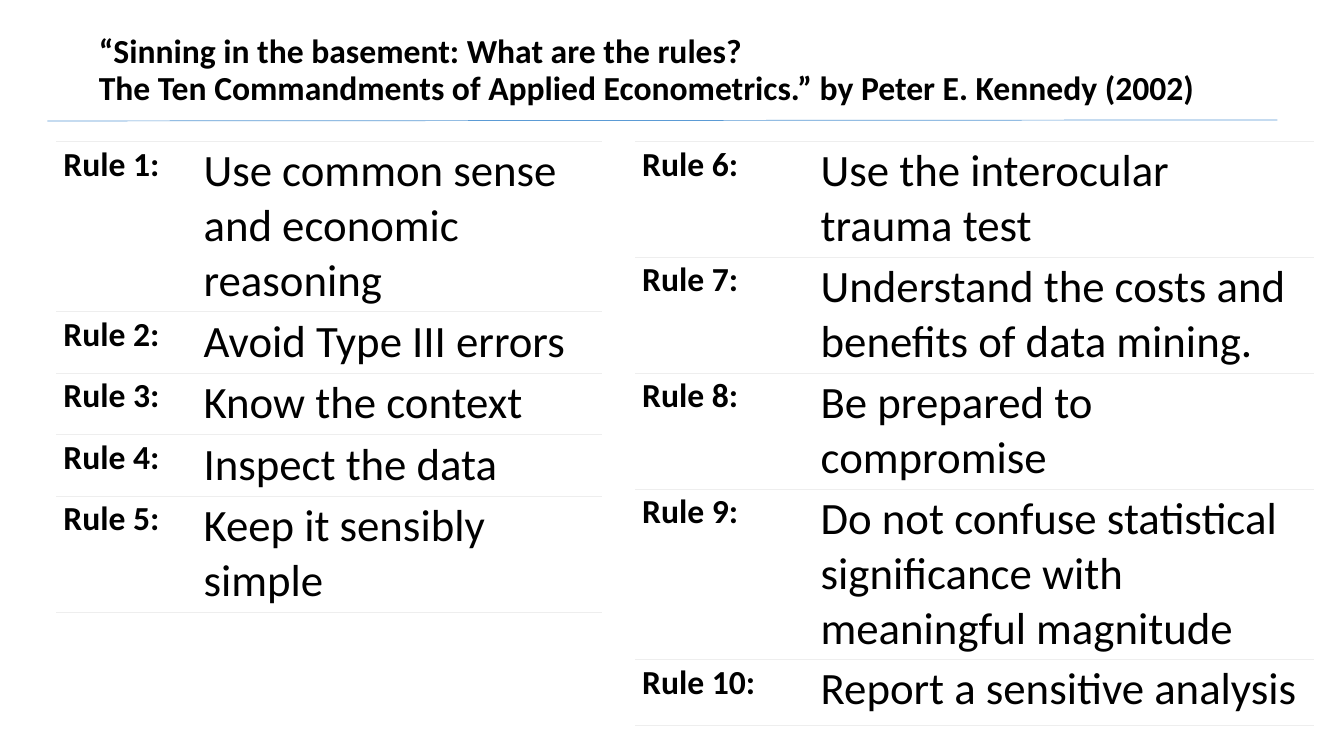
"""Build a slide listing ten rules of applied econometrics in two tables."""
from lxml import etree
from pptx import Presentation
from pptx.dml.color import RGBColor
from pptx.enum.shapes import MSO_CONNECTOR
from pptx.enum.text import MSO_ANCHOR, MSO_AUTO_SIZE, PP_ALIGN
from pptx.oxml.ns import qn
from pptx.util import Inches, Pt

STRAIGHT = MSO_CONNECTOR.STRAIGHT
MIDDLE, TOP = MSO_ANCHOR.MIDDLE, MSO_ANCHOR.TOP
NO_AUTOFIT, LEFT = MSO_AUTO_SIZE.NONE, PP_ALIGN.LEFT

FONT, INK, PAPER = "Calibri", "000000", "FFFFFF"
BORDER, ACCENT = "EEEEEE", "5B9BD5"
HAIRLINE = Pt(0.5)
LABEL_SIZE, RULE_SIZE = 24, 32
LINE_HEIGHT, ROW_PADDING, TABLE_TOP = 0.54, 0.07, 1.4
TITLE_ONLY = 5

TITLE_LINES = [
    "“Sinning in the basement: What are the rules?",
    "The Ten Commandments of Applied Econometrics.” by Peter E. Kennedy (2002)",
]
TABLES = [
    {"left": 0.56, "columns": (1.39, 4.02), "first": 1, "rules": [
        ("Use common sense and economic reasoning", 3),
        ("Avoid Type III errors", 1),
        ("Know the context", 1),
        ("Inspect the data", 1),
        ("Keep it sensibly simple", 2),
    ]},
    {"left": 6.3, "columns": (1.77, 4.96), "first": 6, "rules": [
        ("Use the interocular trauma test", 2),
        ("Understand the costs and benefits of data mining.", 2),
        ("Be prepared to compromise", 2),
        ("Do not confuse statistical significance with meaningful magnitude", 3),
        ("Report a sensitive analysis", 1.09),
    ]},
]


def color(value):
    return RGBColor.from_string(value)


def add_text(para, text, size, bold):
    span = para.add_run()
    span.text = text
    span.font.name = FONT
    span.font.size = Pt(size)
    span.font.bold = bold
    span.font.color.rgb = color(INK)


def set_borders(cell):
    properties = cell._tc.get_or_add_tcPr()
    for position, side in enumerate(("lnL", "lnR", "lnT", "lnB")):
        line = etree.Element(qn(f"a:{side}"), w=str(HAIRLINE))
        if side in ("lnT", "lnB"):
            fill = etree.SubElement(line, qn("a:solidFill"))
            etree.SubElement(fill, qn("a:srgbClr"), val=BORDER)
        else:
            etree.SubElement(line, qn("a:noFill"))
        properties.insert(position, line)


def fill_cell(cell, text, size, bold):
    cell.margin_left = cell.margin_right = Inches(0.07)
    cell.margin_top = cell.margin_bottom = Inches(0.03)
    cell.vertical_anchor = TOP
    cell.fill.solid()
    cell.fill.fore_color.rgb = color(PAPER)
    set_borders(cell)
    add_text(cell.text_frame.paragraphs[0], text, size, bold)


def add_rules(page, left, columns, first, rules):
    heights = [lines * LINE_HEIGHT + ROW_PADDING for _, lines in rules]
    table = page.shapes.add_table(
        len(rules), len(columns), Inches(left), Inches(TABLE_TOP),
        Inches(sum(columns)), Inches(sum(heights))).table
    table.first_row = table.horz_banding = False
    for column, width in zip(table.columns, columns):
        column.width = Inches(width)
    for index, (rule, _) in enumerate(rules):
        table.rows[index].height = Inches(heights[index])
        fill_cell(table.cell(index, 0), f"Rule {first + index}:", LABEL_SIZE, True)
        fill_cell(table.cell(index, 1), rule, RULE_SIZE, False)


def add_title(page):
    title = page.shapes.title
    title.left, title.top = Inches(0.88), Inches(0.41)
    title.width, title.height = Inches(11.91), Inches(0.59)
    frame = title.text_frame
    frame.auto_size, frame.word_wrap = NO_AUTOFIT, True
    frame.vertical_anchor = MIDDLE
    para = frame.paragraphs[0]
    para.alignment, para.line_spacing = LEFT, 0.9
    for index, text in enumerate(TITLE_LINES):
        if index:
            para.add_line_break()
        add_text(para, text, LABEL_SIZE, True)


def add_divider(page):
    divider = page.shapes.add_connector(
        STRAIGHT, Inches(0.47), Inches(1.2), Inches(12.67), Inches(1.19))
    divider.line.color.rgb = color(ACCENT)
    divider.line.width = HAIRLINE
    etree.SubElement(divider._element.spPr, qn("a:effectLst"))


def main():
    deck = Presentation()
    deck.slide_width, deck.slide_height = Inches(13.33), Inches(7.5)
    page = deck.slides.add_slide(deck.slide_layouts[TITLE_ONLY])
    add_title(page)
    for group in TABLES:
        add_rules(page, **group)
    add_divider(page)
    deck.save("out.pptx")


if __name__ == "__main__":
    main()
